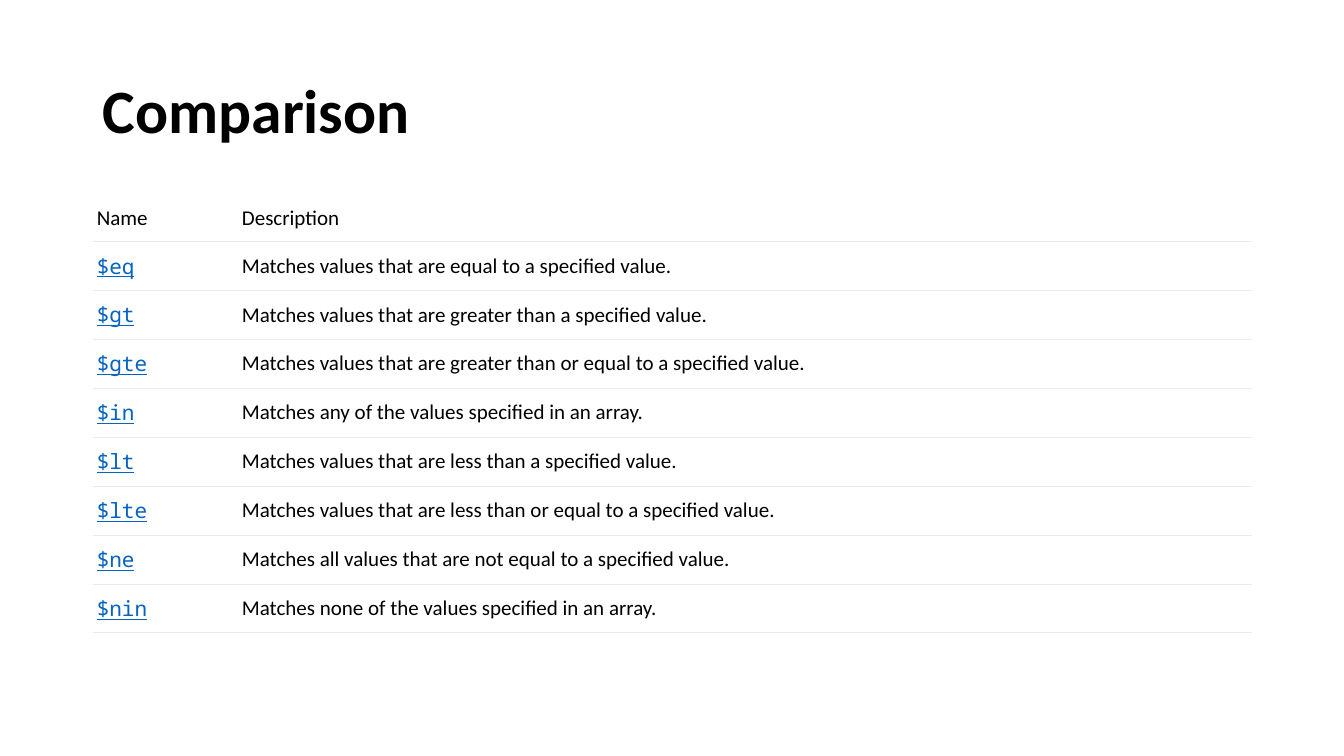
from dataclasses import dataclass

from lxml import etree
from pptx import Presentation
from pptx.dml.color import RGBColor
from pptx.enum.text import MSO_ANCHOR, PP_ALIGN
from pptx.oxml.ns import qn
from pptx.util import Inches, Pt

MIDDLE = MSO_ANCHOR.MIDDLE
LEFT = PP_ALIGN.LEFT
TITLE_ONLY = 5

TITLE = "Comparison"
HEADER = ("Name", "Description")
OPERATORS = [
    ("$eq", "Matches values that are equal to a specified value."),
    ("$gt", "Matches values that are greater than a specified value."),
    ("$gte", "Matches values that are greater than or equal to a specified value."),
    ("$in", "Matches any of the values specified in an array."),
    ("$lt", "Matches values that are less than a specified value."),
    ("$lte", "Matches values that are less than or equal to a specified value."),
    ("$ne", "Matches all values that are not equal to a specified value."),
    ("$nin", "Matches none of the values specified in an array."),
]


@dataclass(frozen=True)
class Theme:
    text: str = "000000"
    link: str = "0563C1"
    rule: str = "EBEBED"
    paper: str = "FFFFFF"
    sans: str = "Calibri"
    mono: str = "Noto Sans Mono"
    title_size: float = 44
    table_size: float = 15
    rule_width: float = 0.75


THEME = Theme()
TITLE_FORMAT = {"name": THEME.sans, "size": Pt(THEME.title_size), "bold": True}
TEXT_FORMAT = {"name": THEME.sans, "size": Pt(THEME.table_size), "bold": False}
LINK_FORMAT = {**TEXT_FORMAT, "name": THEME.mono, "underline": True}

MARGIN, CONTENT_WIDTH = 0.92, 11.5
TITLE_TOP, TITLE_HEIGHT = 0.4, 1.45
TABLE_TOP, TABLE_HEIGHT = 2, 4
NAME_WIDTH = 1.44
HEADER_HEIGHT, ROW_HEIGHT = 0.35, 0.4
TIGHT, LOOSE = 0.04, 0.1


def set_attributes(target, values):
    for name, value in values.items():
        setattr(target, name, value)


def write(frame, text, values, color):
    para = frame.paragraphs[0]
    para.alignment = LEFT
    span = para.add_run()
    span.text = text
    set_attributes(span.font, values)
    span.font.color.rgb = RGBColor.from_string(color)
    return para


def set_borders(cell, ruled_sides):
    properties = cell._tc.get_or_add_tcPr()
    for side in "LRTB":
        line = etree.SubElement(properties, qn(f"a:ln{side}"))
        if side in ruled_sides:
            line.set("w", str(Pt(THEME.rule_width)))
            fill = etree.SubElement(line, qn("a:solidFill"))
            etree.SubElement(fill, qn("a:srgbClr"), val=THEME.rule)
        else:
            etree.SubElement(line, qn("a:noFill"))


def add_title(page):
    title = page.shapes.title
    set_attributes(title, {
        "left": Inches(MARGIN), "top": Inches(TITLE_TOP),
        "width": Inches(CONTENT_WIDTH), "height": Inches(TITLE_HEIGHT),
    })
    title.text_frame.vertical_anchor = MIDDLE
    para = write(title.text_frame, TITLE, TITLE_FORMAT, THEME.text)
    para.line_spacing = 0.9


def fill_cell(cell, text, is_header, is_link):
    set_attributes(cell, {
        "vertical_anchor": MIDDLE,
        "margin_left": Inches(TIGHT),
        "margin_right": Inches(TIGHT),
        "margin_top": Inches(TIGHT if is_header else LOOSE),
        "margin_bottom": Inches(LOOSE),
    })
    set_borders(cell, "B" if is_header else "TB")
    cell.fill.solid()
    cell.fill.fore_color.rgb = RGBColor.from_string(THEME.paper)
    values, color = (LINK_FORMAT, THEME.link) if is_link else (TEXT_FORMAT, THEME.text)
    write(cell.text_frame, text, values, color)


def add_operator_table(page):
    rows = [HEADER, *OPERATORS]
    box = page.shapes.add_table(
        len(rows), len(HEADER), Inches(MARGIN), Inches(TABLE_TOP),
        Inches(CONTENT_WIDTH), Inches(TABLE_HEIGHT))
    table = box.table
    set_attributes(table, {"first_row": False, "horz_banding": False})
    for column, width in zip(table.columns, (NAME_WIDTH, CONTENT_WIDTH - NAME_WIDTH)):
        column.width = Inches(width)
    for row_index, texts in enumerate(rows):
        is_header = row_index == 0
        table.rows[row_index].height = Inches(HEADER_HEIGHT if is_header else ROW_HEIGHT)
        for column_index, text in enumerate(texts):
            is_link = column_index == 0 and not is_header
            fill_cell(table.cell(row_index, column_index), text, is_header, is_link)
    box.height = Inches(TABLE_HEIGHT)


def main():
    deck = Presentation()
    deck.slide_width, deck.slide_height = Inches(13.33), Inches(7.5)
    page = deck.slides.add_slide(deck.slide_layouts[TITLE_ONLY])
    add_title(page)
    add_operator_table(page)
    deck.save("out.pptx")


if __name__ == "__main__":
    main()
